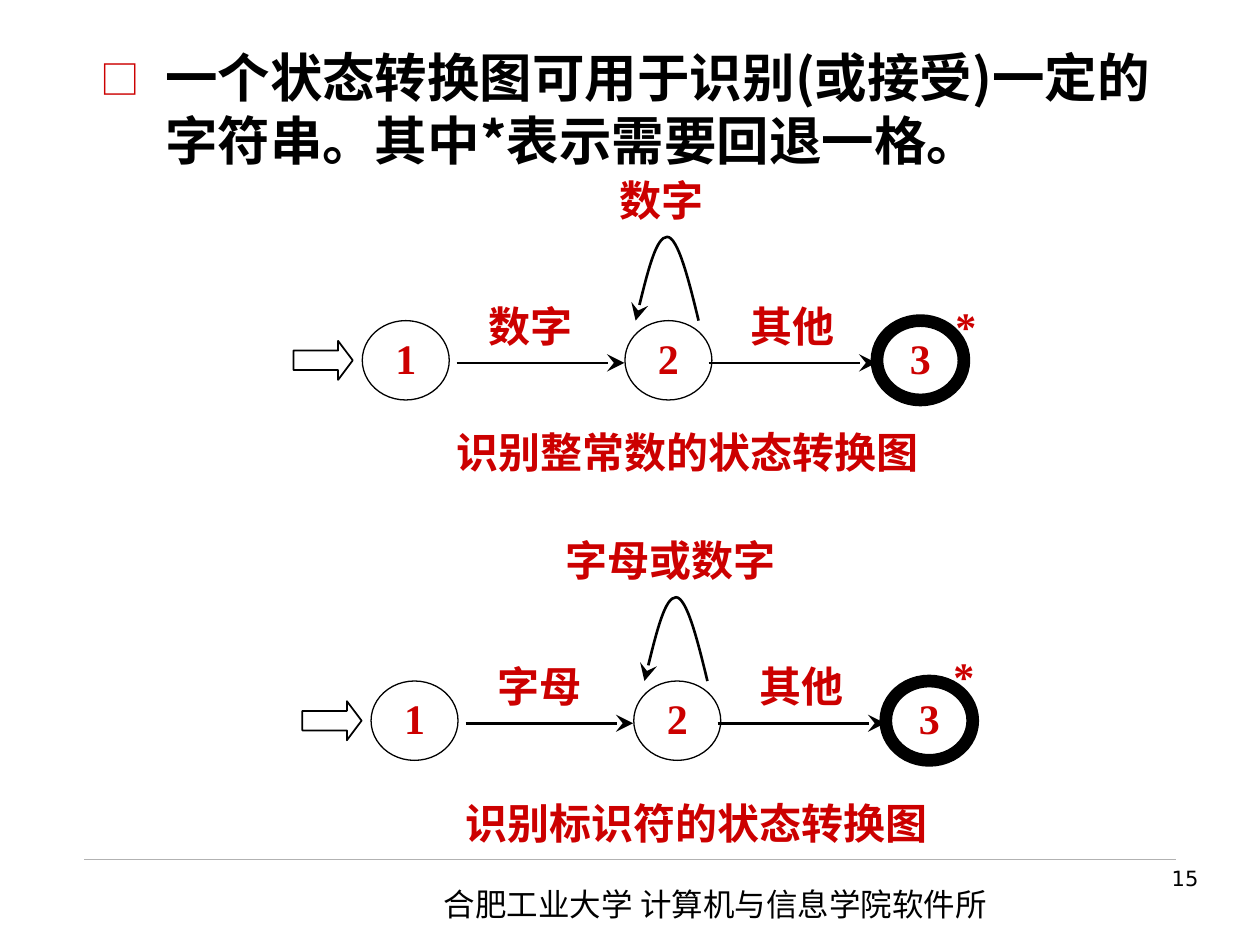
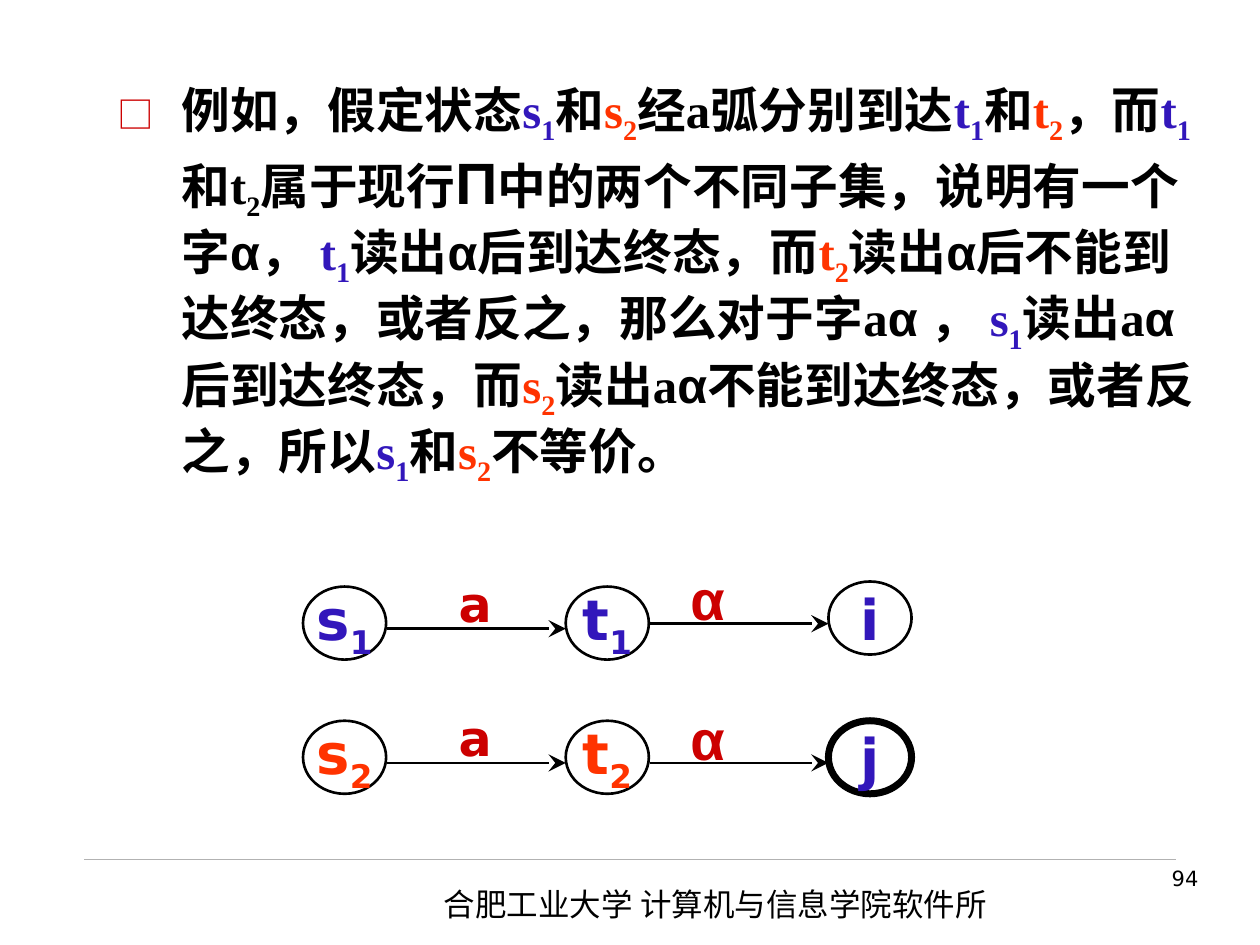
from dataclasses import dataclass
from itertools import groupby
from typing import NamedTuple, Optional

from lxml.etree import SubElement
from pptx import Presentation
from pptx.dml.color import RGBColor
from pptx.enum.shapes import MSO_CONNECTOR as Connector, MSO_SHAPE as Preset
from pptx.enum.text import MSO_ANCHOR as Anchor, MSO_AUTO_SIZE as AutoSize, PP_ALIGN as Align
from pptx.oxml.ns import qn
from pptx.util import Inches, Pt

BLACK, RED, BLUE, ORANGE, GREY = "000000", "CC0000", "3217BB", "FF3300", "B2B2B2"
SERIF, SANS, GREEK, CHINESE = "Times New Roman", "DejaVu Sans", "Arial", "Noto Sans CJK SC"
WIDTH, HEIGHT = Inches(10), Inches(7.5)
COLUMN, ROW = WIDTH // 100, HEIGHT // 75


class Box(NamedTuple):
    """A place in grid columns and rows."""
    left: float
    top: float
    width: float
    height: float

    def lengths(self) -> tuple:
        return (round(self.left * COLUMN), round(self.top * ROW),
                round(self.width * COLUMN), round(self.height * ROW))


class Run(NamedTuple):
    text: str
    color: Optional[str] = None
    font: Optional[str] = None
    size: Optional[float] = None
    subscript: bool = False


@dataclass
class Automaton:
    """A three-state diagram placed by the corner of its first state."""
    left: float
    top: float
    loop_label: str
    step_label: str
    caption: str
    caption_drop: float
    star: tuple


@dataclass
class Chain:
    """A row of states; levels are the heights of its two arrows."""
    levels: tuple
    states: tuple
    final_line: float


def rgb(color: str) -> RGBColor:
    return RGBColor.from_string(color)


def state(letter: str, index: int, color: str) -> list:
    return [Run(letter, color), Run(str(index), color, subscript=True)]


def greek_runs(text: str) -> list:
    """Split text so that Greek letters get their own font."""
    runs = []
    for letter, characters in groupby(text, lambda c: c if c in "αΠ" else ""):
        runs.append(Run("".join(characters), font=GREEK if letter else None,
                        size=33.3 if letter == "Π" else None))
    return runs


def write(shape, content, *, size: float, font: str = SERIF, color: str = RED,
          bold: bool = True, align=Align.CENTER, anchor=Anchor.MIDDLE,
          wrap: bool = False) -> None:
    """Fill a shape with one paragraph, given as text or as runs."""
    frame = shape.text_frame
    frame.auto_size = AutoSize.NONE
    frame.word_wrap = wrap
    frame.vertical_anchor = anchor
    paragraph = frame.paragraphs[0]
    paragraph.alignment = align
    paragraph.space_before = Pt(0)
    paragraph.line_spacing = 1.0
    for part in [Run(content)] if isinstance(content, str) else content:
        run = paragraph.add_run()
        run.text = part.text
        run.font.size = Pt(part.size or size)
        run.font.bold = bold
        run.font.color.rgb = rgb(part.color or color)
        run.font.name = part.font or font
        properties = run.font._element
        SubElement(properties, qn("a:ea")).set("typeface", CHINESE)
        if part.subscript:
            properties.set("baseline", "-25000")


def add_label(slide, box: Box, content, **style) -> None:
    write(slide.shapes.add_textbox(*box.lengths()), content, **style)


def add_body(slide, box: Box, content, **style) -> None:
    """Use the body placeholder for one item with a square bullet."""
    body = slide.placeholders[1]
    body.left, body.top, body.width, body.height = box.lengths()
    properties = body.text_frame.paragraphs[0]._p.get_or_add_pPr()
    properties.set("marL", str(Inches(0.51)))
    properties.set("indent", str(-Inches(0.51)))
    properties.set("hangingPunct", "0")
    bullet_color = SubElement(properties, qn("a:buClr"))
    SubElement(bullet_color, qn("a:srgbClr")).set("val", RED)
    SubElement(properties, qn("a:buSzPct")).set("val", "75000")
    SubElement(properties, qn("a:buFont")).set("typeface", CHINESE)
    SubElement(properties, qn("a:buChar")).set("char", "□")
    write(body, content, color=BLACK, align=Align.LEFT, anchor=Anchor.TOP, wrap=True, **style)


def outline(shape, width: float, color: str = BLACK, arrow: bool = False) -> None:
    shape.line.color.rgb = rgb(color)
    shape.line.width = Pt(width)
    if arrow:
        head = SubElement(shape.line._get_or_add_ln(), qn("a:tailEnd"))
        for name, value in (("type", "stealth"), ("w", "lg"), ("len", "lg")):
            head.set(name, value)


def add_preset(slide, preset, box: Box, line: float):
    shape = slide.shapes.add_shape(preset, *box.lengths())
    shape.shadow.inherit = False
    shape.fill.background()
    outline(shape, line)
    return shape


def add_line(slide, left: float, right: float, level: float, width: float = 1.5,
             color: str = BLACK, arrow: bool = True) -> None:
    start_x, y, length, _ = Box(left, level, right - left, 0).lengths()
    line = slide.shapes.add_connector(Connector.STRAIGHT, start_x, y, start_x + length, y)
    outline(line, width, color, arrow)
    SubElement(line._element.spPr, qn("a:effectLst"))


def add_loop(slide, box: Box) -> None:
    """Draw an arch of two Bézier curves from lower right to lower left."""
    left, top, width, height = box.lengths()
    shares = [(1, 1), (0.84, 0.5), (0.67, 0), (0.5, 0), (0.33, 0), (0.16, 0.5), (0, 1)]
    points = [(round(left + x * width), round(top + y * height)) for x, y in shares]
    builder = slide.shapes.build_freeform(*points[0])
    builder.add_line_segments(points[1:], close=False)
    loop = builder.convert_to_shape()
    loop.shadow.inherit = False
    loop.fill.background()
    outline(loop, 1.5, arrow=True)
    geometry = loop._element.find(".//" + qn("a:path"))
    segments = geometry.findall(qn("a:lnTo"))
    for first in (0, 3):
        curve = SubElement(geometry, qn("a:cubicBezTo"))
        for segment in segments[first:first + 3]:
            curve.append(segment[0])
            geometry.remove(segment)


def add_automaton(slide, automaton: Automaton) -> None:
    left, top = automaton.left, automaton.top
    add_preset(slide, Preset.RIGHT_ARROW, Box(left - 5.45, top + 1.6, 4.7, 3.1), 1
               ).adjustments[1] = 0.376
    add_loop(slide, Box(left + 21.7, top - 6.65, 5, 6.65))
    for number, (offset, line) in enumerate([(0, 0.75), (20.85, 0.75), (40.85, 7.25)], 1):
        circle = add_preset(slide, Preset.OVAL, Box(left + offset, top, 6.9, 6.3), line)
        write(circle, str(number), size=24)
        circle.text_frame.margin_top, circle.text_frame.margin_bottom = 0, Inches(0.04)
    for offset in (7.5, 27.5):
        add_line(slide, left + offset, left + offset + 13.3, top + 3.35)
    for offset, text in ((9.2, automaton.step_label), (30, "其他")):
        add_label(slide, Box(left + offset, top - 2.5, 8.3, 5.8), text, size=24)
    add_label(slide, Box(left + 15.85, top - 12.5, 15.8, 5.8), automaton.loop_label, size=24)
    add_label(slide, Box(left + 8.35, top + automaton.caption_drop, 35, 5.8),
              automaton.caption, size=24)
    add_label(slide, Box(*automaton.star, 5.8, 4.2), "*", size=24)


def add_chain(slide, chain: Chain) -> None:
    first, second = chain.levels
    lines = (1.5, 1.5, chain.final_line)
    for place, (content, level, line) in enumerate(zip(chain.states, (first, first, second), lines)):
        box = Box(24.05 + 20.85 * place, level - 3.35, 6.6, 5.8)
        write(add_preset(slide, Preset.OVAL, box, line), content, size=32, font=SANS)
    for place, level in enumerate(chain.levels):
        start = 30.75 + 20.85 * place
        add_line(slide, start, start + 14.15, level)
    add_label(slide, Box(33.1, first - 4.95, 9.2, 5.8), "a", size=28, font=SANS)
    add_label(slide, Box(51.55, second - 4.9, 9.2, 5.8), "α", size=32, font=GREEK)


def start_slide(presentation, number: int):
    """Add a slide with the shared rule, footer and page number."""
    slide = presentation.slides.add_slide(presentation.slide_layouts[1])
    title = slide.shapes.title._element
    title.getparent().remove(title)
    add_line(slide, 6.7, 93.3, 68.2, width=0.25, color=GREY, arrow=False)
    plain = dict(color=BLACK, bold=False, anchor=Anchor.TOP, wrap=True)
    add_label(slide, Box(34.25, 69.75, 47.2, 4), "合肥工业大学 计算机与信息学院软件所",
              size=18, font=CHINESE, align=Align.LEFT, **plain)
    add_label(slide, Box(74.4, 68.2, 21.7, 5.2), str(number),
              size=12, font=SANS, align=Align.RIGHT, **plain)
    return slide


def build_recognition(presentation) -> None:
    slide = start_slide(presentation, 15)
    add_body(slide, Box(7, 3.1, 88.3, 12.5),
             "一个状态转换图可用于识别(或接受)一定的字符串。其中*表示需要回退一格。",
             size=30, font=CHINESE)
    for automaton in (
        Automaton(28.75, 25.45, "数字", "数字", "识别整常数的状态转换图", 7.5, (73.75, 23.75)),
        Automaton(29.45, 54.05, "字母或数字", "字母", "识别标识符的状态转换图", 8.35, (73.6, 51.5)),
    ):
        add_automaton(slide, automaton)


def build_equivalence(presentation) -> None:
    slide = start_slide(presentation, 94)
    s1, t1 = state("s", 1, BLUE), state("t", 1, BLUE)
    s2, t2 = state("s", 2, ORANGE), state("t", 2, ORANGE)
    sentence = [
        "例如，假定状态", s1, "和", s2, "经a弧分别到达", t1, "和", t2, "，而", t1, "和",
        state("t", 2, BLACK), "属于现行Π中的两个不同子集，说明有一个字α， ", t1,
        "读出α后到达终态，而", t2, "读出α后不能到达终态，或者反之，那么对于字aα ， ", s1,
        "读出aα后到达终态，而", s2, "读出aα不能到达终态，或者反之，所以", s1, "和", s2, "不等价。",
    ]
    runs = [run for part in sentence
            for run in (greek_runs(part) if isinstance(part, str) else part)]
    add_body(slide, Box(8.3, 5.8, 87.5, 38), runs, size=27.8)
    for chain in (
        Chain((49.9, 49.5), (s1, t1, [Run("i", BLUE)]), 1.5),
        Chain((60.55, 60.55), (s2, t2, [Run("j", BLUE)]), 4),
    ):
        add_chain(slide, chain)


def main() -> None:
    presentation = Presentation()
    presentation.slide_width, presentation.slide_height = WIDTH, HEIGHT
    build_recognition(presentation)
    build_equivalence(presentation)
    presentation.save("out.pptx")


if __name__ == "__main__":
    main()
